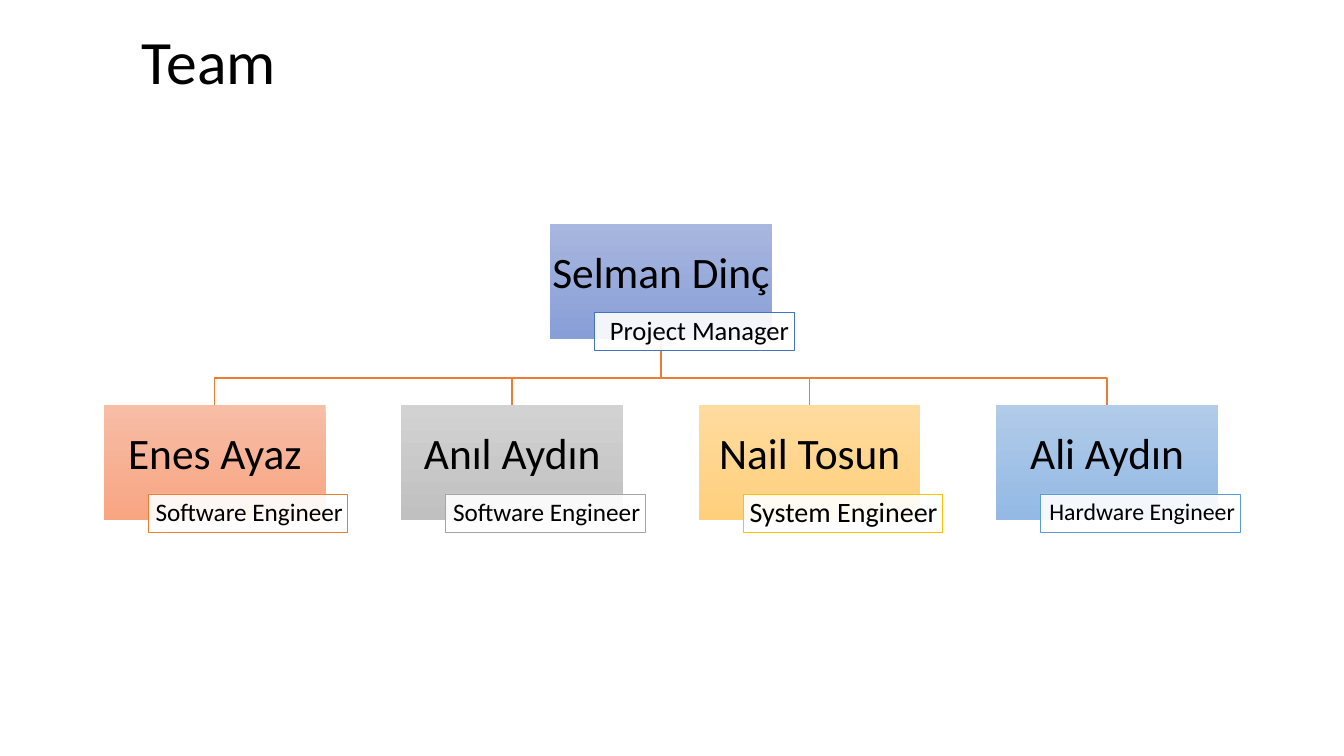
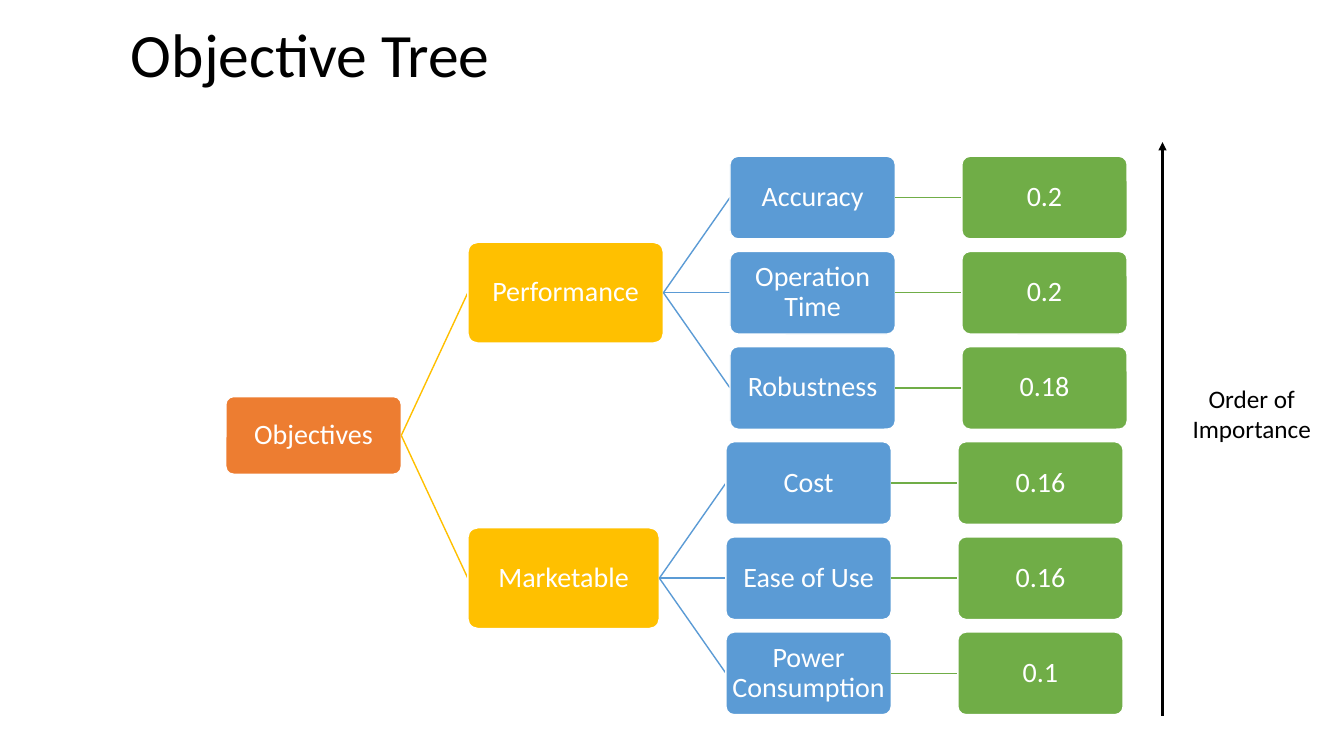
from lxml.etree import SubElement
from pptx import Presentation
from pptx.dml.color import RGBColor
from pptx.enum.shapes import MSO_CONNECTOR, MSO_SHAPE
from pptx.enum.text import MSO_ANCHOR, PP_ALIGN
from pptx.oxml.ns import qn
from pptx.util import Inches, Pt

# Shared style
FONT = "Calibri"
BLACK, WHITE = "000000", "FFFFFF"
BLUE, ORANGE, GREY, GOLD = "4472C4", "ED7D31", "A5A5A5", "FFC000"
SKY, GREEN = "5B9BD5", "70AD47"

# Team: name, role, role size, accent, gradient top and bottom
MANAGER = ("Selman Dinç", "Project Manager", 19, BLUE, "A8B7DF", "889ED7")
ENGINEERS = [
    ("Enes Ayaz", "Software Engineer", 18, ORANGE, "F7BDA5", "F8A582"),
    ("Anıl Aydın", "Software Engineer", 18, GREY, "D2D2D2", "C0C0C0"),
    ("Nail Tosun", "System Engineer", 20, GOLD, "FFDB9E", "FFD07C"),
    ("Ali Aydın", "Hardware Engineer", 17, SKY, "B1CBE9", "93B9E4"),
]
TEAM_LEFT, TEAM_PITCH = 1.03, 2.95
MANAGER_TOP, BUS_Y, ENGINEERS_TOP = 2.22, 3.75, 4.02
CARD_WIDTH, CARD_HEIGHT = 2.2, 1.14

# Objectives: branch, branch width, leaves with their weights
OBJECTIVES = [
    ("Performance", 1.94, [("Accuracy", "0.2"), ("Operation Time", "0.2"),
                           ("Robustness", "0.18")]),
    ("Marketable", 1.9, [("Cost", "0.16"), ("Ease of Use", "0.16"),
                         ("Power Consumption", "0.1")]),
]
ROOT_LEFT, ROOT_WIDTH, ROOT_HEIGHT = 2.24, 1.74, 0.77
BRANCH_HEIGHT, LEAF_WIDTH, LEAF_HEIGHT = 1, 1.64, 0.82
LEVEL_GAP = 0.66
FIRST_LEAF_Y, LAST_LEAF_Y = 1.96, 6.68


def rgb(value):
    return RGBColor.from_string(value)


def write(shape, text, size=20, color=WHITE, align=PP_ALIGN.CENTER,
          anchor=MSO_ANCHOR.MIDDLE, insets=(0.01, 0.01, 0.01, 0.01), spacing=0.9):
    frame = shape.text_frame
    frame.word_wrap = True
    frame.vertical_anchor = anchor
    (frame.margin_left, frame.margin_top,
     frame.margin_right, frame.margin_bottom) = map(Inches, insets)
    paragraph = frame.paragraphs[0]
    paragraph.alignment = align
    paragraph.line_spacing = spacing
    run = paragraph.add_run()
    run.text = text
    run.font.name = FONT
    run.font.size = Pt(size)
    run.font.color.rgb = rgb(color)


def add_label(slide, text, left, top, width, height, **text_format):
    box = slide.shapes.add_textbox(*map(Inches, (left, top, width, height)))
    write(box, text, color=BLACK, anchor=MSO_ANCHOR.TOP,
          insets=(0.1, 0.05, 0.1, 0.05), spacing=1.0, **text_format)


def add_title(slide, text, left, top):
    add_label(slide, text, left, top, 5.36, 0.84, size=44, align=PP_ALIGN.LEFT)


def add_box(slide, kind, left, top, width, height, fill=WHITE, line=None, line_width=1):
    shape = slide.shapes.add_shape(kind, *map(Inches, (left, top, width, height)))
    shape.shadow.inherit = False
    shape.fill.solid()
    shape.fill.fore_color.rgb = rgb(fill)
    if line:
        shape.line.color.rgb = rgb(line)
        shape.line.width = Pt(line_width)
    else:
        shape.line.fill.background()
    return shape


def add_line(slide, start, end, color, width=1):
    line = slide.shapes.add_connector(MSO_CONNECTOR.STRAIGHT, *map(Inches, start + end))
    line.line.color.rgb = rgb(color)
    line.line.width = Pt(width)
    SubElement(line._element.spPr, qn("a:effectLst"))
    return line


def add_elbow(slide, points, color):
    (x, y), *others = [(Inches(x), Inches(y)) for x, y in points]
    builder = slide.shapes.build_freeform(x, y)
    builder.add_line_segments(others, close=False)
    elbow = builder.convert_to_shape()
    elbow.shadow.inherit = False
    elbow.fill.background()
    elbow.line.color.rgb = rgb(color)
    elbow.line.width = Pt(1)


def add_member(slide, member, left, top):
    name, role, role_size, accent, *gradient = member
    card = add_box(slide, MSO_SHAPE.RECTANGLE, left, top, CARD_WIDTH, CARD_HEIGHT)
    card.fill.gradient()
    card.fill.gradient_angle = 270
    for stop, color in zip(card.fill.gradient_stops, gradient):
        stop.color.rgb = rgb(color)
    write(card, name, size=31, color=BLACK, insets=(0.02, 0.02, 0.02, 0.16))

    tag = add_box(slide, MSO_SHAPE.RECTANGLE, left + 0.44, top + 0.88, 1.98, 0.38,
                  line=accent, line_width=0.5)
    fill_color = tag._element.spPr.find(qn("a:solidFill"))[0]
    SubElement(fill_color, qn("a:alpha"), val="90000")
    write(tag, role, size=role_size, color=BLACK, align=PP_ALIGN.RIGHT,
          insets=(0.05, 0.01, 0.05, 0.01))


def add_node(slide, text, left, middle, width, height, color):
    """Draw a tree node and return the middle of its right side."""
    node = add_box(slide, MSO_SHAPE.ROUNDED_RECTANGLE, left, middle - height / 2,
                   width, height, fill=color, line=WHITE)
    node.adjustments[0] = 0.1
    write(node, text)
    return left + width, middle


def add_child(slide, parent, text, middle, width, height, color):
    left = parent[0] + LEVEL_GAP
    add_line(slide, parent, (left, middle), color)
    return add_node(slide, text, left, middle, width, height, color)


def build_team(slide):
    lefts = [TEAM_LEFT + TEAM_PITCH * i for i in range(len(ENGINEERS))]
    manager_left = (lefts[0] + lefts[-1]) / 2
    trunk_x = manager_left + CARD_WIDTH / 2
    # Connecting lines lie behind the cards
    for left in lefts:
        drop_x = left + CARD_WIDTH / 2
        add_elbow(slide, [(trunk_x, MANAGER_TOP + CARD_HEIGHT), (trunk_x, BUS_Y),
                          (drop_x, BUS_Y), (drop_x, ENGINEERS_TOP)], ORANGE)
    add_member(slide, MANAGER, manager_left, MANAGER_TOP)
    for left, engineer in zip(lefts, ENGINEERS):
        add_member(slide, engineer, left, ENGINEERS_TOP)
    add_title(slide, "Team", 1.31, 0.18)


def build_objective_tree(slide):
    leaf_count = sum(len(leaves) for _, _, leaves in OBJECTIVES)
    pitch = (LAST_LEAF_Y - FIRST_LEAF_Y) / (leaf_count - 1)
    root = add_node(slide, "Objectives", ROOT_LEFT, (FIRST_LEAF_Y + LAST_LEAF_Y) / 2,
                    ROOT_WIDTH, ROOT_HEIGHT, ORANGE)
    first_y = FIRST_LEAF_Y
    for name, width, leaves in OBJECTIVES:
        branch = add_child(slide, root, name, first_y + pitch * (len(leaves) - 1) / 2,
                           width, BRANCH_HEIGHT, GOLD)
        for i, (goal, weight) in enumerate(leaves):
            middle = first_y + pitch * i
            leaf = add_child(slide, branch, goal, middle, LEAF_WIDTH, LEAF_HEIGHT, SKY)
            add_child(slide, leaf, weight, middle, LEAF_WIDTH, LEAF_HEIGHT, GREEN)
        first_y += pitch * len(leaves)

    # Importance arrow
    arrow = add_line(slide, (11.53, 7.1), (11.53, 1.41), BLACK, width=1.5)
    SubElement(arrow.line._get_or_add_ln(), qn("a:tailEnd"), type="triangle")
    add_label(slide, "Order of Importance", 11.66, 3.75, 1.51, 0.71, size=18)
    add_title(slide, "Objective Tree", 1.2, 0.11)


def main():
    presentation = Presentation()
    presentation.slide_width = Inches(13.33)
    presentation.slide_height = Inches(7.5)
    for build in (build_team, build_objective_tree):
        build(presentation.slides.add_slide(presentation.slide_layouts[6]))
    presentation.save("out.pptx")


if __name__ == "__main__":
    main()
